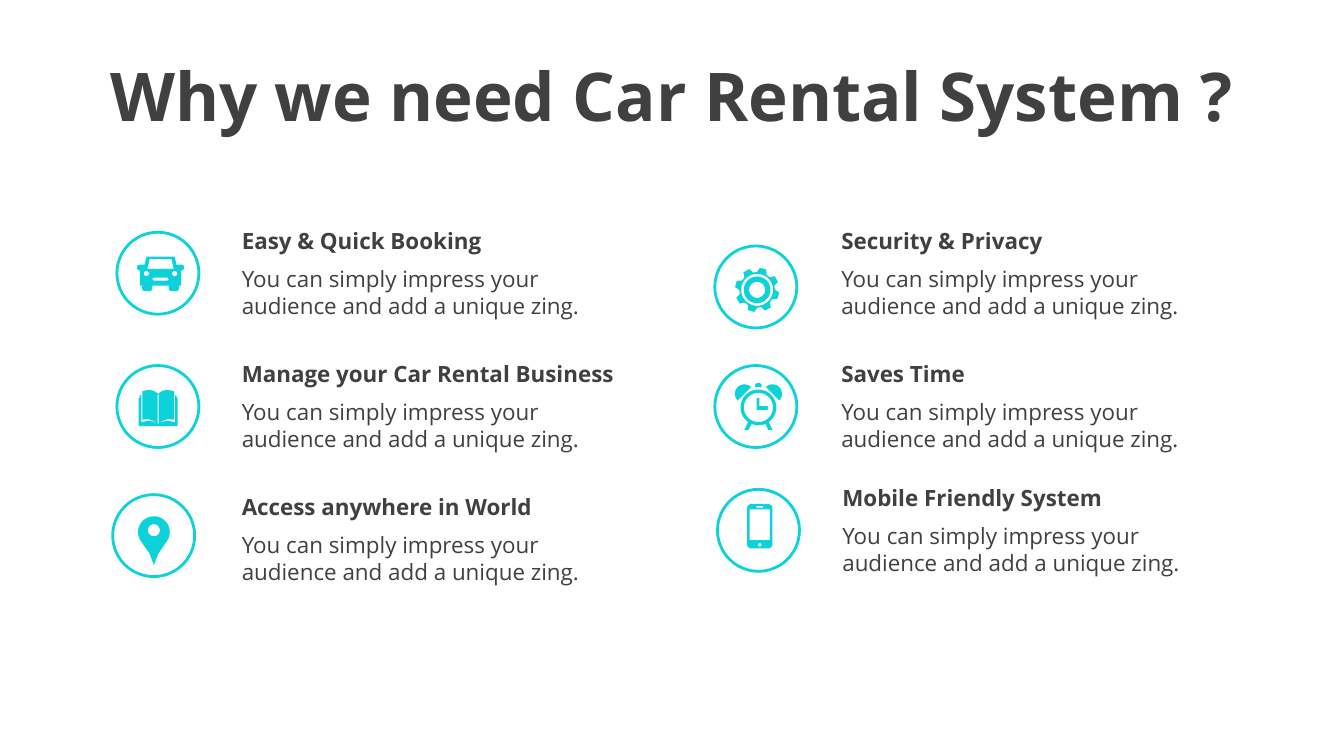
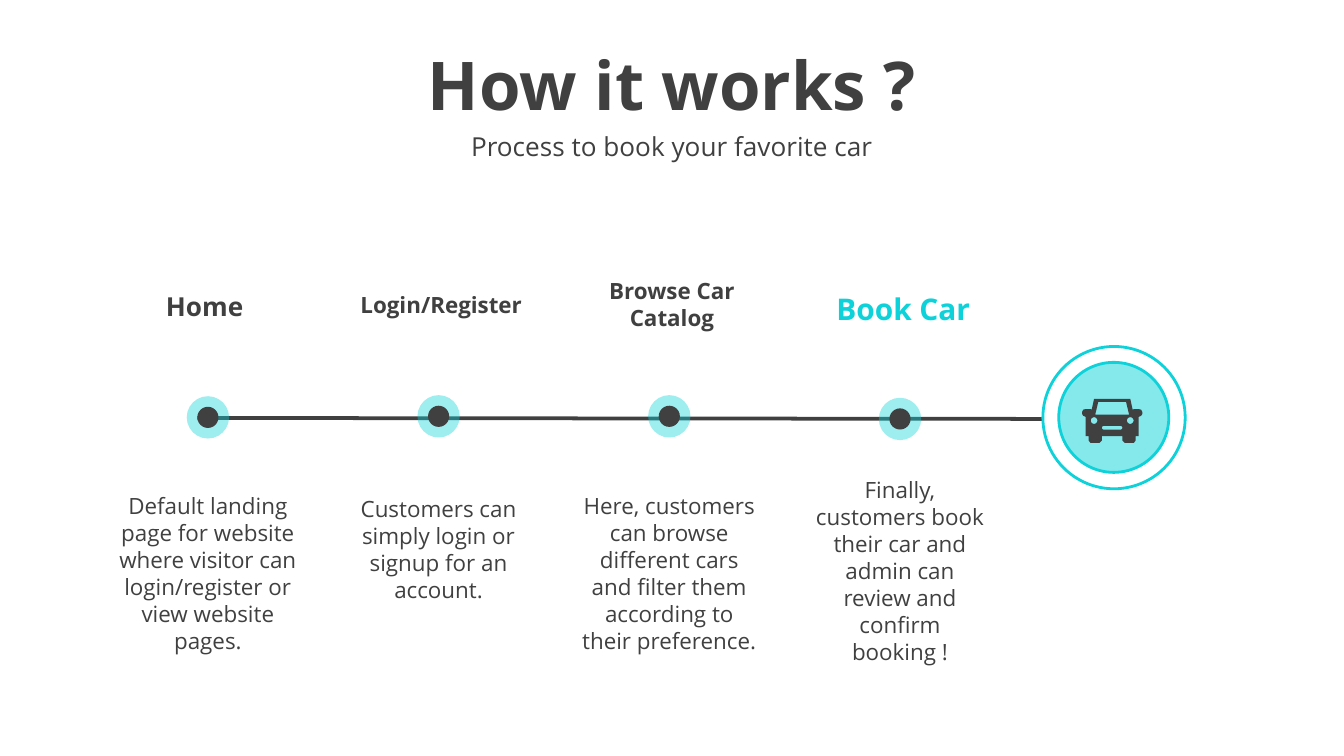
import dataclasses
import math

import lxml.etree
import pptx
import pptx.dml.color
import pptx.enum.shapes
import pptx.enum.text
import pptx.oxml.ns
import pptx.util

Cm = pptx.util.Cm
Pt = pptx.util.Pt
qn = pptx.oxml.ns.qn


@dataclasses.dataclass(frozen=True)
class Theme:
    font: str = "Open Sans"
    ink: str = "404040"
    accent: str = "0DD2D9"
    paper: str = "FFFFFF"
    title: int = 36
    large: int = 16
    medium: int = 14
    body: int = 12
    ring_line: float = 1.5
    track_line: float = 2


THEME = Theme()
SLIDE_WIDTH, SLIDE_HEIGHT = 25.4, 14.29


# Outlines, in hundredths of the icon width
def arc(cx, cy, radius, start=0, end=360, steps=36):
    angles = [math.radians(start + (end - start) * i / steps) for i in range(steps + 1)]
    return [(cx + radius * math.cos(a), cy + radius * math.sin(a)) for a in angles]


def rect(left, top, right, bottom):
    return [(left, top), (right, top), (right, bottom), (left, bottom)]


def rounded(left, top, right, bottom, radius):
    centres = rect(left + radius, top + radius, right - radius, bottom - radius)
    return [point for i, (x, y) in enumerate(centres)
            for point in arc(x, y, radius, 180 + 90 * i, 270 + 90 * i, 6)]


def flipped(points):
    return [(100 - x, y) for x, y in reversed(points)]


def mirrored(right_half):
    return right_half + flipped(right_half)


def polar(radius, degrees):
    angle = math.radians(degrees)
    return 50 + radius * math.cos(angle), 50 + radius * math.sin(angle)


@dataclasses.dataclass(frozen=True)
class Icon:
    contours: list
    width: float
    dx: float = 0  # offset from the badge corner
    dy: float = 0


CAR = Icon([
    mirrored([(80, 0), (84, 18), (86, 17), (94, 17), (98, 18), (100, 22), (100, 25),
              (98, 28), (94, 30), (94, 62), (89, 62), (89, 69), (86, 73), (71, 73),
              (67, 69), (67, 62)]),
    mirrored([(73, 5), (78, 26)]),
    arc(20, 36, 5.5),
    arc(80, 36, 5.5),
    rounded(33, 45, 67, 51, 3),
], 0.89, 0.38, 0.46)

BOOK = Icon([
    mirrored([(50, 10), (60, 3), (72, 0), (90, 3), (90, 14), (97, 14), (97, 21),
              (100, 21), (100, 93), (50, 93)]),
    mirrored([(50, 87), (62, 81), (76, 79), (93, 83), (93, 14), (90, 14), (90, 76),
              (74, 75), (60, 80), (51, 86), (51, 12), (50, 10)]),
], 0.74, 0.41, 0.46)

PIN = Icon([
    arc(50, 50, 50, -215, 35) + [(64, 117), (50, 154), (36, 117)],
    arc(50, 44, 19),
], 0.6, 0.48, 0.41)

GEAR = Icon([
    [polar(radius, 15.5 + 45 * tooth + turn) for tooth in range(8)
     for radius, turn in ((40, -16), (50, -8.5), (50, 8.5), (40, 16))],
    arc(50, 50, 36),
    arc(50, 50, 30),
    arc(50, 50, 18),
], 0.84, 0.38, 0.41)

BELL = arc(20, 23, 20, 135, 315)
LEG = [(72, 83), (80, 100), (71, 100), (65, 87)]
CLOCK = Icon([
    arc(50, 52, 38),
    arc(50, 52, 31),
    [(46, 33), (49, 31), (52, 33), (52, 49), (69, 49), (71, 53), (69, 57), (46, 57)],
    BELL, flipped(BELL),
    LEG, flipped(LEG),
    mirrored([(53, 0), (57, 4), (57, 9)]),
], 0.89, 0.38, 0.33)

PHONE = Icon([
    rounded(0, 0, 100, 174, 16),
    rect(10, 21, 90, 142),
    rounded(36, 8, 64, 14, 3),
    arc(50, 160, 7),
], 0.48, 0.56, 0.28)


# Shared parts
def rgb(color):
    return pptx.dml.color.RGBColor.from_string(color)


def add_text(shapes, text, left, top, width, height, size, color=THEME.ink,
             bold=False, centred=False, grow=True):
    frame = shapes.add_textbox(Cm(left), Cm(top), Cm(width), Cm(height)).text_frame
    fit = pptx.enum.text.MSO_AUTO_SIZE
    frame_format = {
        "word_wrap": True,
        "vertical_anchor": pptx.enum.text.MSO_ANCHOR.MIDDLE,
        "auto_size": fit.SHAPE_TO_FIT_TEXT if grow else fit.NONE,
    }
    for name, value in frame_format.items():
        setattr(frame, name, value)
    paragraph = frame.paragraphs[0]
    align = pptx.enum.text.PP_ALIGN
    paragraph.alignment = align.CENTER if centred else align.LEFT
    run = paragraph.add_run()
    run.text = text
    for name, value in {"name": THEME.font, "size": Pt(size), "bold": bold}.items():
        setattr(run.font, name, value)
    run.font.color.rgb = rgb(color)


def paint(shape, fill, line=None, opacity=100):
    shape.shadow.inherit = False
    shape.fill.solid()
    shape.fill.fore_color.rgb = rgb(fill)
    if opacity < 100:
        color = shape.fill._xPr.find(".//" + qn("a:srgbClr"))
        lxml.etree.SubElement(color, qn("a:alpha"), val=str(opacity * 1000))
    if line:
        shape.line.color.rgb = rgb(line)
        shape.line.width = Pt(THEME.ring_line)
    else:
        shape.line.fill.background()


def add_circle(shapes, left, top, diameter, fill, line=None, opacity=100):
    circle = shapes.add_shape(pptx.enum.shapes.MSO_SHAPE.OVAL, Cm(left), Cm(top),
                              Cm(diameter), Cm(diameter))
    paint(circle, fill, line, opacity)


def add_icon(shapes, icon, left, top, width, color):
    precision = 100
    first, *others = [[(x * precision, y * precision) for x, y in contour]
                      for contour in icon.contours]
    outline = shapes.build_freeform(*first[0], scale=Cm(width) / (100 * precision))
    outline.add_line_segments(first[1:])
    for contour in others:
        outline.move_to(*contour[0])
        outline.add_line_segments(contour[1:])
    paint(outline.convert_to_shape(Cm(left), Cm(top)), color)


def add_title(slide, text, top):
    add_text(slide.shapes, text, 0, top, SLIDE_WIDTH, 1.6, THEME.title,
             bold=True, centred=True, grow=False)


# Slide 1: reasons
@dataclasses.dataclass(frozen=True)
class Reason:
    heading: str
    icon: Icon
    badge_dx: float
    badge_dy: float
    text_dx: float = 0
    text_dy: float = 0


REASON_TEXT = "You can simply impress your audience and add a unique zing."
REASON_COLUMNS = [
    [Reason("Easy & Quick Booking", CAR, 0, 0.22),
     Reason("Manage your Car Rental Business", BOOK, 0, 0.23),
     Reason("Access anywhere in World", PIN, -0.08, 0.16)],
    [Reason("Security & Privacy", GEAR, -0.03, 0.48),
     Reason("Saves Time", CLOCK, -0.03, 0.23),
     Reason("Mobile Friendly System", PHONE, 0.02, 0.06, 0.02, -0.16)],
]


def add_reason(slide, reason, left, top):
    # Badge
    badge_left, badge_top = left + reason.badge_dx, top + reason.badge_dy
    icon = reason.icon
    add_circle(slide.shapes, badge_left, badge_top, 1.55, THEME.paper, THEME.accent)
    add_icon(slide.shapes, icon, badge_left + icon.dx, badge_top + icon.dy,
             icon.width, THEME.accent)
    # Heading and text
    text_left, text_top = left + 2.11 + reason.text_dx, top + reason.text_dy
    wording = slide.shapes.add_group_shape().shapes
    add_text(wording, REASON_TEXT, text_left, text_top + 0.72, 7.87, 1.27, THEME.body)
    add_text(wording, reason.heading, text_left, text_top, 7.87, 0.76, THEME.body,
             bold=True)


def build_reasons(slide):
    add_title(slide, "Why we need Car Rental System ?", 0.99)
    for column, reasons in enumerate(REASON_COLUMNS):
        for row, reason in enumerate(reasons):
            add_reason(slide, reason, 2.21 + 11.33 * column, 4.17 + 2.51 * row)


# Slide 2: booking process
@dataclasses.dataclass(frozen=True)
class Step:
    heading: str
    text: str
    heading_dx: float
    heading_top: float
    heading_width: float
    heading_height: float
    dot_top: float
    text_top: float
    text_height: float = 3.33
    size: int = THEME.body
    color: str = THEME.ink


STEPS = [
    Step("Home", "Default landing page for website where visitor can login/register "
         "or view website pages.",
         -0.06, 5.36, 3.35, 0.86, 7.49, 9.17, size=THEME.medium),
    Step("Login/Register", "Customers can simply login or signup for an account.",
         0.05, 5.38, 3.58, 0.76, 7.47, 9.22, 2.31),
    Step("Browse Car Catalog", "Here, customers can browse different cars and filter "
         "them according to their preference.",
         0.05, 5.11, 3.58, 1.27, 7.47, 9.17),
    Step("Book Car", "Finally, customers book their car and admin can review and "
         "confirm booking !",
         0.06, 5.36, 4.47, 0.94, 7.52, 9.12, size=THEME.large, color=THEME.accent),
]


def add_track(slide, left, top, right, bottom):
    track = slide.shapes.add_connector(pptx.enum.shapes.MSO_CONNECTOR.STRAIGHT,
                                       Cm(left), Cm(top), Cm(right), Cm(bottom))
    track.line.color.rgb = rgb(THEME.ink)
    track.line.width = Pt(THEME.track_line)
    lxml.etree.SubElement(track._element.spPr, qn("a:effectLst"))


def add_destination(slide, left, top):
    rings = slide.shapes.add_group_shape().shapes
    add_circle(rings, left, top, 2.69, THEME.paper, THEME.accent)
    add_circle(rings, left + 0.3, top + 0.3, 2.08, THEME.accent, THEME.accent, 50)
    add_icon(slide.shapes, CAR, left + 0.74, top + 0.99, 1.14, THEME.ink)


def add_step(slide, step, centre):
    # Dot with halo
    dot = slide.shapes.add_group_shape().shapes
    add_circle(dot, centre - 0.4, step.dot_top, 0.8, THEME.accent, opacity=40)
    add_circle(dot, centre - 0.2, step.dot_top + 0.2, 0.4, THEME.ink)
    # Heading above, text below
    add_text(slide.shapes, step.heading,
             centre + step.heading_dx - step.heading_width / 2, step.heading_top,
             step.heading_width, step.heading_height, step.size, step.color,
             bold=True, centred=True)
    add_text(slide.shapes, step.text, centre - 1.95, step.text_top, 3.9,
             step.text_height, THEME.body, centred=True)


def build_process(slide):
    add_title(slide, "How it works ?", 0.79)
    add_text(slide.shapes, "Process to book your favorite car", 0, 2.36, SLIDE_WIDTH,
             0.79, THEME.medium, centred=True, grow=False)
    add_track(slide, 3.73, 7.9, 21.26, 7.92)
    add_destination(slide, 19.71, 6.55)
    for position, step in enumerate(STEPS):
        add_step(slide, step, 3.93 + 4.36 * position)


def main():
    deck = pptx.Presentation()
    deck.slide_width, deck.slide_height = Cm(SLIDE_WIDTH), Cm(SLIDE_HEIGHT)
    for build in (build_reasons, build_process):
        build(deck.slides.add_slide(deck.slide_layouts[6]))
    deck.save("out.pptx")


if __name__ == "__main__":
    main()
